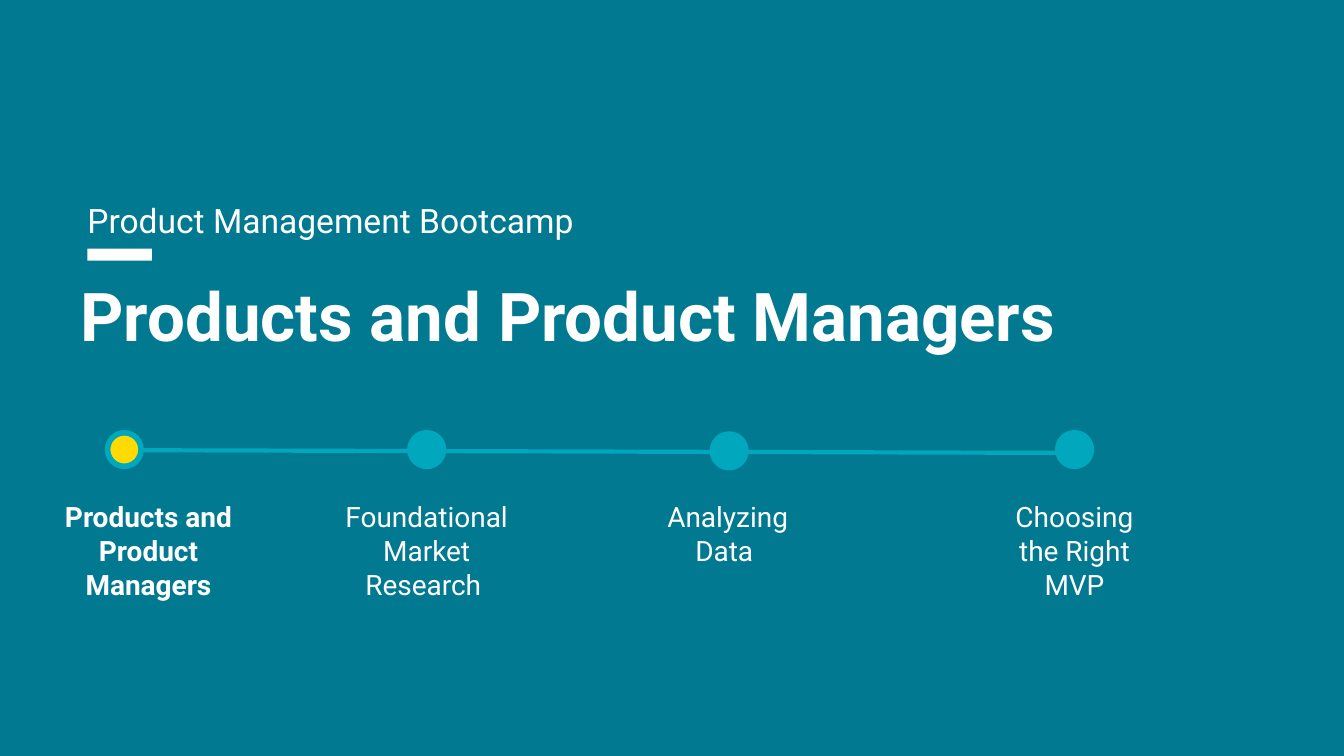
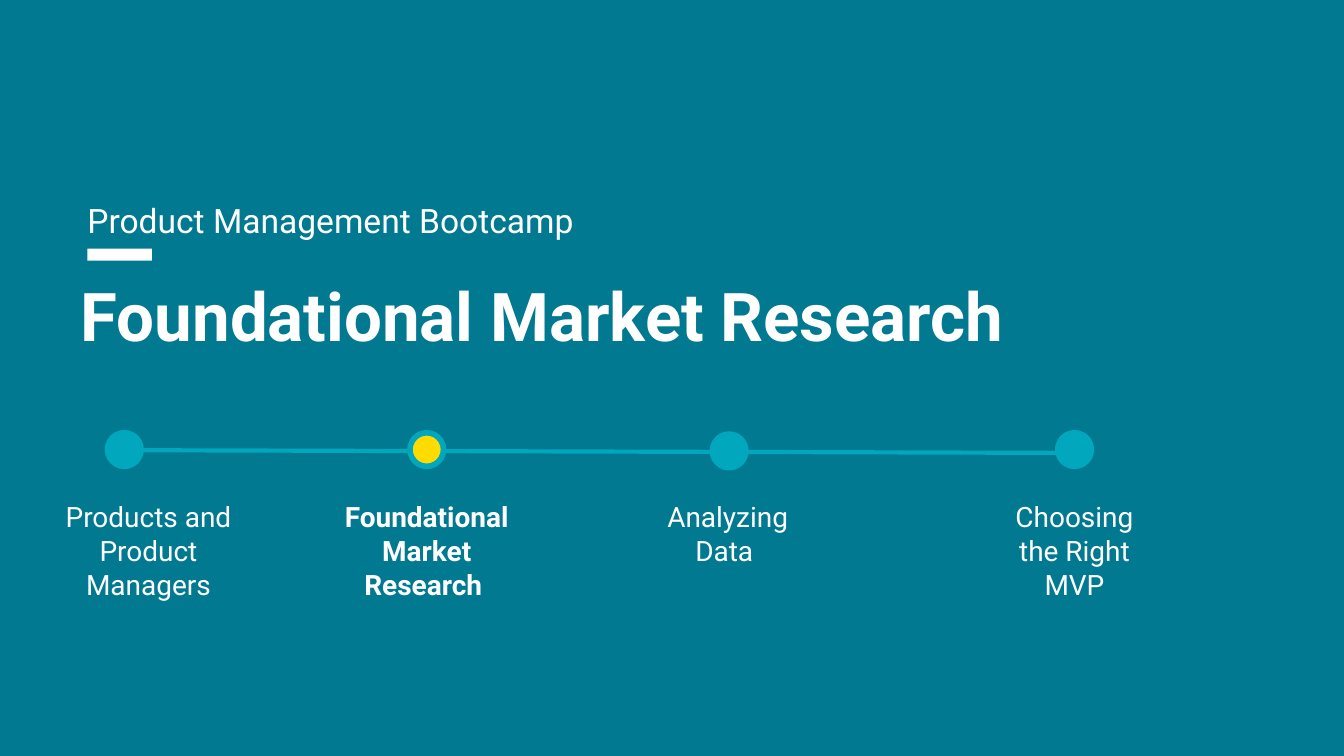
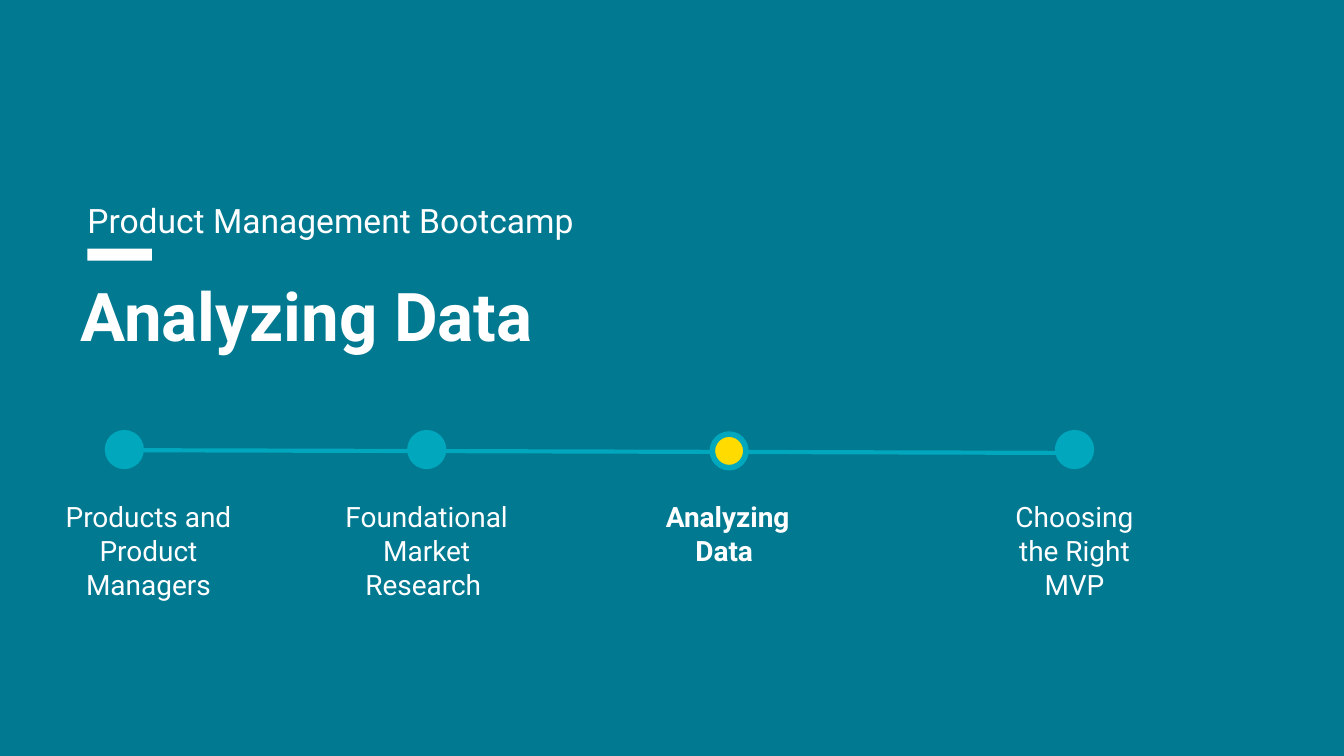
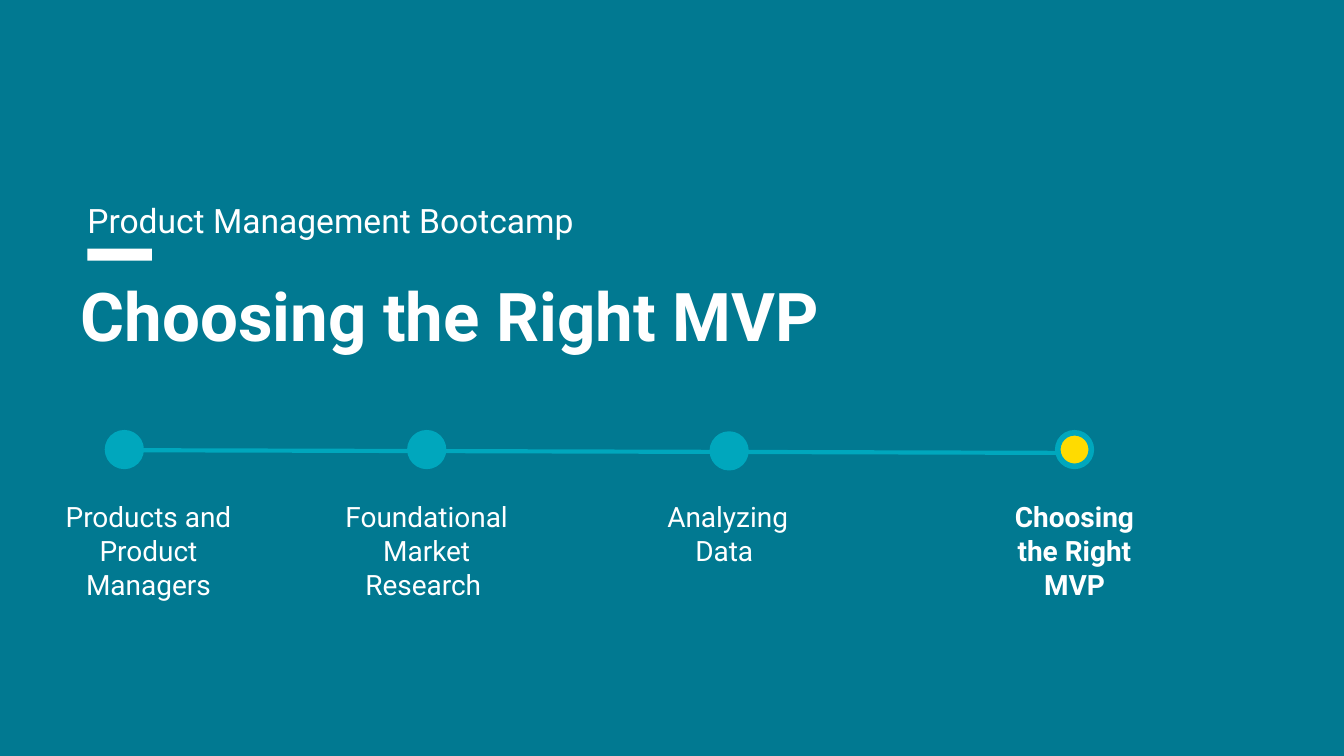
from pptx import Presentation
from pptx.dml.color import RGBColor
from pptx.enum.shapes import MSO_CONNECTOR, MSO_SHAPE
from pptx.enum.text import MSO_ANCHOR, MSO_AUTO_SIZE, PP_ALIGN
from pptx.oxml.ns import qn
from pptx.util import Inches, Pt
from lxml import etree

LEFT, CENTER = PP_ALIGN.LEFT, PP_ALIGN.CENTER
TOP = MSO_ANCHOR.TOP
NO_AUTOFIT = MSO_AUTO_SIZE.NONE
RECTANGLE, OVAL = MSO_SHAPE.RECTANGLE, MSO_SHAPE.OVAL
STRAIGHT = MSO_CONNECTOR.STRAIGHT

TEAL = RGBColor(0x01, 0x79, 0x91)
CYAN = RGBColor(0x00, 0xA7, 0xBD)
YELLOW = RGBColor(0xFF, 0xDB, 0x00)
WHITE = RGBColor(0xFF, 0xFF, 0xFF)
FONT = "Roboto"

COURSE = "Product Management Bootcamp"
# Each stage: label, label left and width, dot left and top
STAGES = [
    ("Products and Product Managers", 0.3, 1.61, 0.8, 3.22),
    ("Foundational Market Research ", 2.37, 1.61, 3.05, 3.22),
    ("Analyzing Data ", 4.75, 1.33, 5.3, 3.23),
    ("Choosing the Right MVP", 7.33, 1.33, 7.87, 3.22),
]
PAGE_WIDTH = Inches(10)
PAGE_HEIGHT = PAGE_WIDTH * 9 // 16
LABEL_TOP, LABEL_HEIGHT = 3.62, 1
DOT_SIZE = 0.25
TRACK = (1.05, 3.35, 7.87, 3.37)
TITLE_AREA = (0.5, 1.94, 8.26, 1.74)
COURSE_AREA = (0.55, 1.34, 8.16, 0.45)
ACCENT_AREA = (0.65, 1.85, 0.48, 0.09)

TITLE_FONT = {"size": Pt(36), "bold": True}
COURSE_FONT = {"size": Pt(18), "bold": False}
LABEL_FONT = {"size": Pt(15)}
TITLE_PARA = {"alignment": LEFT, "line_spacing": 1.0}
COURSE_PARA = {"alignment": LEFT, "line_spacing": 1.15,
               "space_before": Pt(0), "space_after": Pt(16)}
LABEL_PARA = {"alignment": CENTER}
FRAME = {"word_wrap": True, "auto_size": NO_AUTOFIT, "vertical_anchor": TOP,
         "margin_left": Inches(0.1), "margin_right": Inches(0.1),
         "margin_top": Inches(0.1), "margin_bottom": Inches(0.1)}


def inches(values):
    return [Inches(value) for value in values]


def apply(target, values):
    for name, value in values.items():
        setattr(target, name, value)


def write(box, text, font_values, para_values):
    frame = box.text_frame
    apply(frame, FRAME)
    para = frame.paragraphs[0]
    apply(para, para_values)
    span = para.add_run()
    span.text = text
    apply(span.font, {"name": FONT, **font_values})
    span.font.color.rgb = WHITE


def fill_placeholder(box, area, text, font_values, para_values):
    apply(box, dict(zip(("left", "top", "width", "height"), inches(area))))
    write(box, text, font_values, para_values)


def add_filled(page, kind, area, color):
    shape = page.shapes.add_shape(kind, *inches(area))
    shape.shadow.inherit = False
    shape.fill.solid()
    shape.fill.fore_color.rgb = color
    shape.line.fill.background()
    return shape


def draw_line(line, width):
    line.color.rgb = CYAN
    line.width = Pt(width)


def add_timeline(page, current):
    """Draw the four stages, with the current one in yellow and bold."""
    track = page.shapes.add_connector(STRAIGHT, *inches(TRACK))
    draw_line(track.line, 2.25)
    etree.SubElement(track._element.spPr, qn("a:effectLst"))
    for index, (label, left, width, dot_left, dot_top) in enumerate(STAGES):
        active = index == current
        dot = add_filled(page, OVAL, (dot_left, dot_top, DOT_SIZE, DOT_SIZE),
                         YELLOW if active else CYAN)
        draw_line(dot.line, 3)
        box = page.shapes.add_textbox(
            *inches((left, LABEL_TOP, width, LABEL_HEIGHT)))
        write(box, label, {**LABEL_FONT, "bold": active}, LABEL_PARA)


def add_stage_page(deck, current):
    page = deck.slides.add_slide(deck.slide_layouts[0])
    fill_placeholder(page.shapes.title, TITLE_AREA, STAGES[current][0].strip(),
                     TITLE_FONT, TITLE_PARA)
    fill_placeholder(page.placeholders[1], COURSE_AREA, COURSE,
                     COURSE_FONT, COURSE_PARA)
    add_filled(page, RECTANGLE, ACCENT_AREA, WHITE)
    add_timeline(page, current)


def main():
    deck = Presentation()
    deck.slide_width, deck.slide_height = PAGE_WIDTH, PAGE_HEIGHT
    backdrop = deck.slide_master.background.fill
    backdrop.solid()
    backdrop.fore_color.rgb = TEAL
    for current in range(len(STAGES)):
        add_stage_page(deck, current)
    deck.save("out.pptx")


if __name__ == "__main__":
    main()
